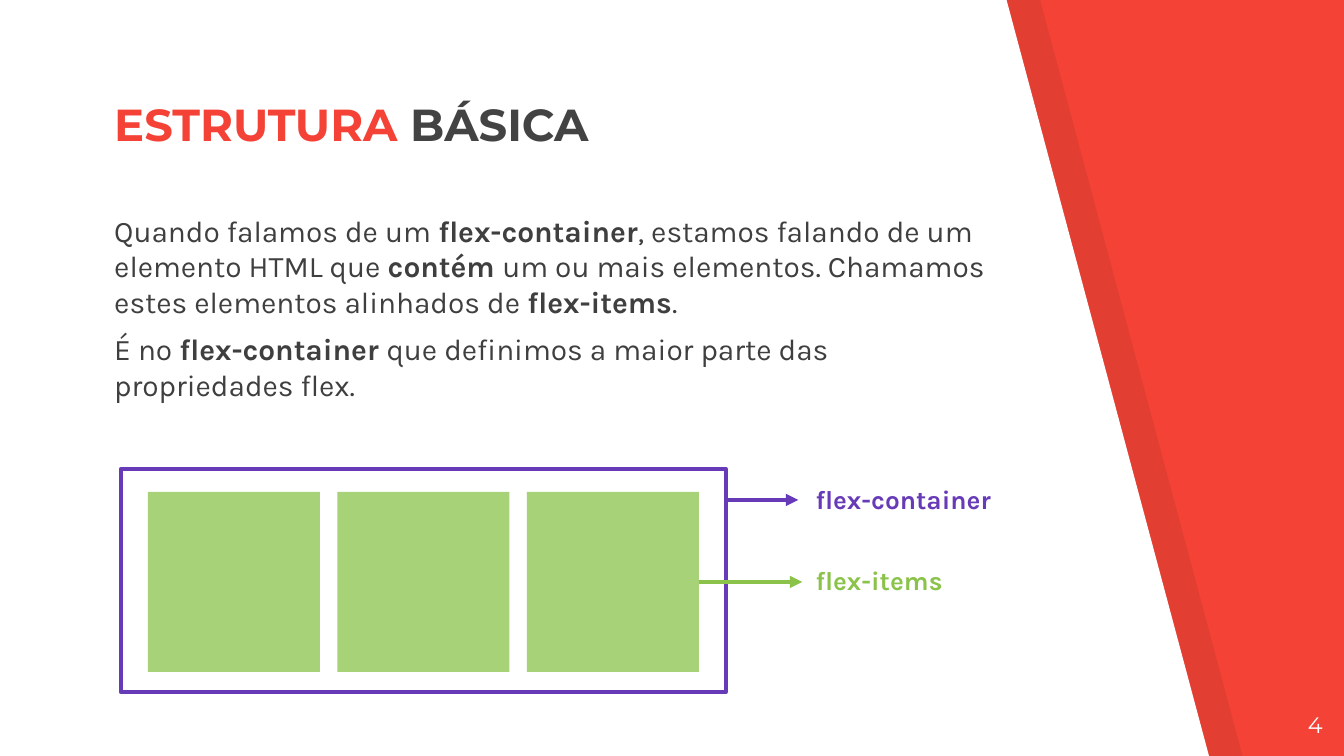
from lxml.etree import SubElement
from pptx import Presentation
from pptx.dml.color import RGBColor
from pptx.enum.shapes import MSO_CONNECTOR, MSO_SHAPE
from pptx.enum.text import MSO_ANCHOR as Anchor, MSO_AUTO_SIZE, PP_ALIGN as Align
from pptx.oxml.ns import qn
from pptx.util import Inches, Pt

RED, PURPLE, GREEN, WHITE = "F44336", "673AB7", "8BC34A", "FFFFFF"
DARK, TITLE_GRAY = "3F3F3F", "434343"

TITLE = [("ESTRUTURA", RED), (" BÁSICA", TITLE_GRAY)]
BODY = [
    [("Quando falamos de um ", False), ("flex-container", True),
     (", estamos falando de um elemento HTML que ", False), ("contém ", True),
     ("um ou mais elementos. Chamamos estes elementos alinhados de ", False),
     ("flex-items", True), (".", False)],
    [("É no ", False), ("flex-container ", True),
     ("que definimos a maior parte das propriedades flex.", False)],
]
PAGE_NUMBER = "4"
LABELS = [("flex-container", PURPLE, 3.5), ("flex-items", GREEN, 4.1)]
PANELS = [(0.25, "000000", 7), (0, WHITE, 100)]
ITEM_COUNT, ITEM_LEFT, ITEM_STEP = 3, 1.1, 1.41


def color(hex_code):
    return RGBColor.from_string(hex_code)


def fill(shape, hex_code, opacity=100):
    shape.shadow.inherit = False
    shape.line.fill.background()
    shape.fill.solid()
    shape.fill.fore_color.rgb = color(hex_code)
    if opacity < 100:
        tone = shape.fill._xPr.find(qn("a:solidFill"))[0]
        SubElement(tone, qn("a:alpha"), val=str(opacity * 1000))


def place(shape, left, top, width, height):
    shape.left, shape.top = Inches(left), Inches(top)
    shape.width, shape.height = Inches(width), Inches(height)


def set_frame(frame, anchor=Anchor.TOP):
    frame.auto_size = MSO_AUTO_SIZE.NONE
    frame.word_wrap = True
    frame.vertical_anchor = anchor
    frame.margin_left = frame.margin_right = Inches(0.1)
    frame.margin_top = frame.margin_bottom = Inches(0.1)


def set_font(paragraph, name, size, hex_code=None, bold=None, align=Align.LEFT):
    paragraph.alignment = align
    font = paragraph.font
    font.name, font.size, font.bold = name, Pt(size), bold
    if hex_code:
        font.color.rgb = color(hex_code)


def add_label(slide, text, box, **font):
    label = slide.shapes.add_textbox(*map(Inches, box))
    set_frame(label.text_frame)
    paragraph = label.text_frame.paragraphs[0]
    paragraph.text = text
    set_font(paragraph, **font)


def add_arrow(slide, start, end, y, hex_code):
    arrow = slide.shapes.add_connector(
        MSO_CONNECTOR.STRAIGHT, Inches(start), Inches(y), Inches(end), Inches(y))
    arrow.line.color.rgb = color(hex_code)
    arrow.line.width = Pt(2.25)
    SubElement(arrow.line._get_or_add_ln(), qn("a:tailEnd"), type="triangle")
    SubElement(arrow._element.spPr, qn("a:effectLst"))
    return arrow


def add_panels(slide):
    for left, hex_code, opacity in PANELS:
        outline = [(left, -0.01), (left, 5.64), (left + 9, 5.64), (left + 7.49, 0)]
        corners = [(Inches(x), Inches(y)) for x, y in outline]
        builder = slide.shapes.build_freeform(*corners[0])
        builder.add_line_segments(corners[1:], close=True)
        fill(builder.convert_to_shape(), hex_code, opacity)


def add_texts(slide):
    title, body = slide.shapes.title, slide.placeholders[1]
    for placeholder in (body, title):
        slide.shapes._spTree.append(placeholder._element)

    place(title, 0.75, 0.77, 6.73, 0.45)
    set_frame(title.text_frame, Anchor.BOTTOM)
    heading = title.text_frame.paragraphs[0]
    set_font(heading, "Montserrat", 24, bold=True)
    for text, hex_code in TITLE:
        run = heading.add_run()
        run.text = text
        run.font.color.rgb = color(hex_code)

    place(body, 0.75, 1.48, 6.73, 3.55)
    frame = body.text_frame
    set_frame(frame)
    for index, runs in enumerate(BODY):
        paragraph = frame.add_paragraph() if index else frame.paragraphs[0]
        paragraph.space_before = Pt(6)
        properties = paragraph._p.get_or_add_pPr()
        properties.set("marL", "0")
        properties.set("indent", "0")
        SubElement(properties, qn("a:buNone"))
        set_font(paragraph, "Karla", 16, DARK)
        for text, bold in runs:
            run = paragraph.add_run()
            run.text = text
            run.font.bold = bold

    add_label(slide, PAGE_NUMBER, (9.34, 5.19, 0.6, 0.43),
              name="Montserrat", size=12, hex_code=WHITE, align=Align.RIGHT)


def add_diagram(slide):
    container = slide.shapes.add_shape(
        MSO_SHAPE.RECTANGLE, *map(Inches, (0.9, 3.49, 4.5, 1.66)))
    container.shadow.inherit = False
    container.fill.background()
    container.line.color.rgb = color(PURPLE)
    container.line.width = Pt(2.25)

    for index in range(ITEM_COUNT):
        item = slide.shapes.add_shape(
            MSO_SHAPE.RECTANGLE, Inches(ITEM_LEFT + index * ITEM_STEP),
            Inches(3.66), Inches(1.28), Inches(1.34))
        fill(item, GREEN, 75)

    add_arrow(slide, 5.4, 5.94, 3.72, PURPLE)
    add_arrow(slide, 5.2, 5.97, 4.33, GREEN).begin_connect(item, 3)

    for text, hex_code, top in LABELS:
        add_label(slide, text, (5.97, top, 1.56, 0.45),
                  name="Karla", size=14, hex_code=hex_code, bold=True)


def main():
    deck = Presentation()
    deck.slide_width = Inches(10)
    deck.slide_height = deck.slide_width * 9 // 16
    slide = deck.slides.add_slide(deck.slide_layouts[1])
    slide.background.fill.solid()
    slide.background.fill.fore_color.rgb = color(RED)
    add_panels(slide)
    add_texts(slide)
    add_diagram(slide)
    deck.save("out.pptx")


if __name__ == "__main__":
    main()
